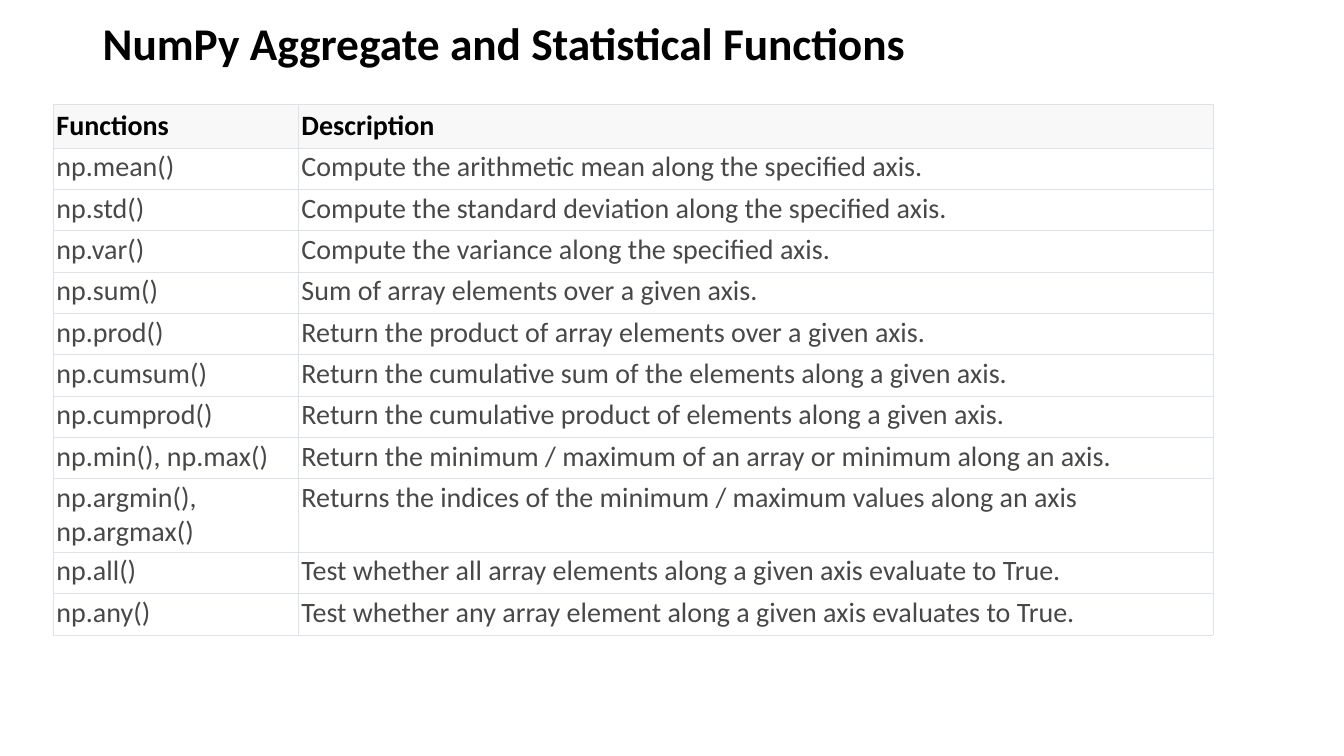
from lxml.etree import SubElement
from pptx import Presentation
from pptx.dml.color import RGBColor
from pptx.enum.text import MSO_ANCHOR as Anchor
from pptx.oxml.ns import qn
from pptx.util import Inches, Pt

FONT = "Calibri"
INK, BODY, RULE = "000000", "484848", "DCE3EB"
HEADER_FILL, ROW_FILL = "F8F8F8", "FFFFFF"
COLUMN_WIDTHS = (2.43, 9.07)
HEADER_HEIGHT, LINE_HEIGHT, WRAPPED_HEIGHT = 0.43, 0.41, 0.73
WRAPPED = "np.argmin(), np.argmax()"

FUNCTIONS = [
    ("Functions", "Description"),
    ("np.mean()", "Compute the arithmetic mean along the specified axis."),
    ("np.std()", "Compute the standard deviation along the specified axis."),
    ("np.var()", "Compute the variance along the specified axis."),
    ("np.sum()", "Sum of array elements over a given axis."),
    ("np.prod()", "Return the product of array elements over a given axis."),
    ("np.cumsum()", "Return the cumulative sum of the elements along a given axis."),
    ("np.cumprod()", "Return the cumulative product of elements along a given axis."),
    ("np.min(), np.max()", "Return the minimum / maximum of an array or minimum along an axis."),
    (WRAPPED, "Returns the indices of the minimum / maximum values along an axis"),
    ("np.all()", "Test whether all array elements along a given axis evaluate to True."),
    ("np.any()", "Test whether any array element along a given axis evaluates to True."),
]


def rgb(code):
    """Return the colour of a hex string."""
    return RGBColor.from_string(code)


def write(tf, text, size=20, color=BODY, bold=False, spacing=None):
    """Fill a text frame with one formatted paragraph."""
    tf.word_wrap = True
    p = tf.paragraphs[0]
    p.line_spacing = spacing
    r = p.add_run()
    r.text = text
    r.font.name, r.font.size, r.font.bold = FONT, Pt(size), bold
    r.font.color.rgb = rgb(color)


def add_borders(cell, color=RULE, width=0.6):
    """Draw a thin line on all four sides of a cell."""
    props = cell._tc.get_or_add_tcPr()
    for i, side in enumerate(("a:lnL", "a:lnR", "a:lnT", "a:lnB")):
        line = props.makeelement(qn(side), {"w": str(Pt(width))})
        props.insert(i, line)
        fill = SubElement(line, qn("a:solidFill"))
        SubElement(fill, qn("a:srgbClr"), val=color)


def add_title(slide, text, left, top, width, height):
    """Place the slide title in its box."""
    tf = slide.shapes.add_textbox(*map(Inches, (left, top, width, height))).text_frame
    tf.vertical_anchor = Anchor.MIDDLE
    write(tf, text, size=32.4, color=INK, bold=True, spacing=0.9)


def add_function_table(slide, rows, left, top, width, height):
    """Place the table of functions, with a shaded header row."""
    box = map(Inches, (left, top, width, height))
    table = slide.shapes.add_table(len(rows), len(COLUMN_WIDTHS), *box).table
    table.horz_banding = False
    for column, share in zip(table.columns, COLUMN_WIDTHS):
        column.width = Inches(width * share / sum(COLUMN_WIDTHS))
    for i, row in enumerate(rows):
        header = i == 0
        table.rows[i].height = Inches(row_height(i, row))
        for j, text in enumerate(row):
            cell = table.cell(i, j)
            cell.margin_left = cell.margin_right = Inches(0.03)
            cell.margin_top = cell.margin_bottom = Inches(0.04 if header else 0.02)
            cell.fill.solid()
            cell.fill.fore_color.rgb = rgb(HEADER_FILL if header else ROW_FILL)
            write(cell.text_frame, text, color=INK if header else BODY, bold=header)
            add_borders(cell)


def row_height(i, row):
    """Return the height of a table row in inches."""
    if i == 0:
        return HEADER_HEIGHT
    return WRAPPED_HEIGHT if row[0] == WRAPPED else LINE_HEIGHT


def main():
    """Build the slide and save it."""
    prs = Presentation()
    prs.slide_width, prs.slide_height = Inches(13.33), Inches(7.5)
    slide = prs.slides.add_slide(prs.slide_layouts[6])
    add_title(slide, "NumPy Aggregate and Statistical Functions", 0.92, 0.06, 11.5, 0.79)
    add_function_table(slide, FUNCTIONS, 0.53, 1.04, 11.5, 5.22)
    prs.save("out.pptx")


if __name__ == "__main__":
    main()
